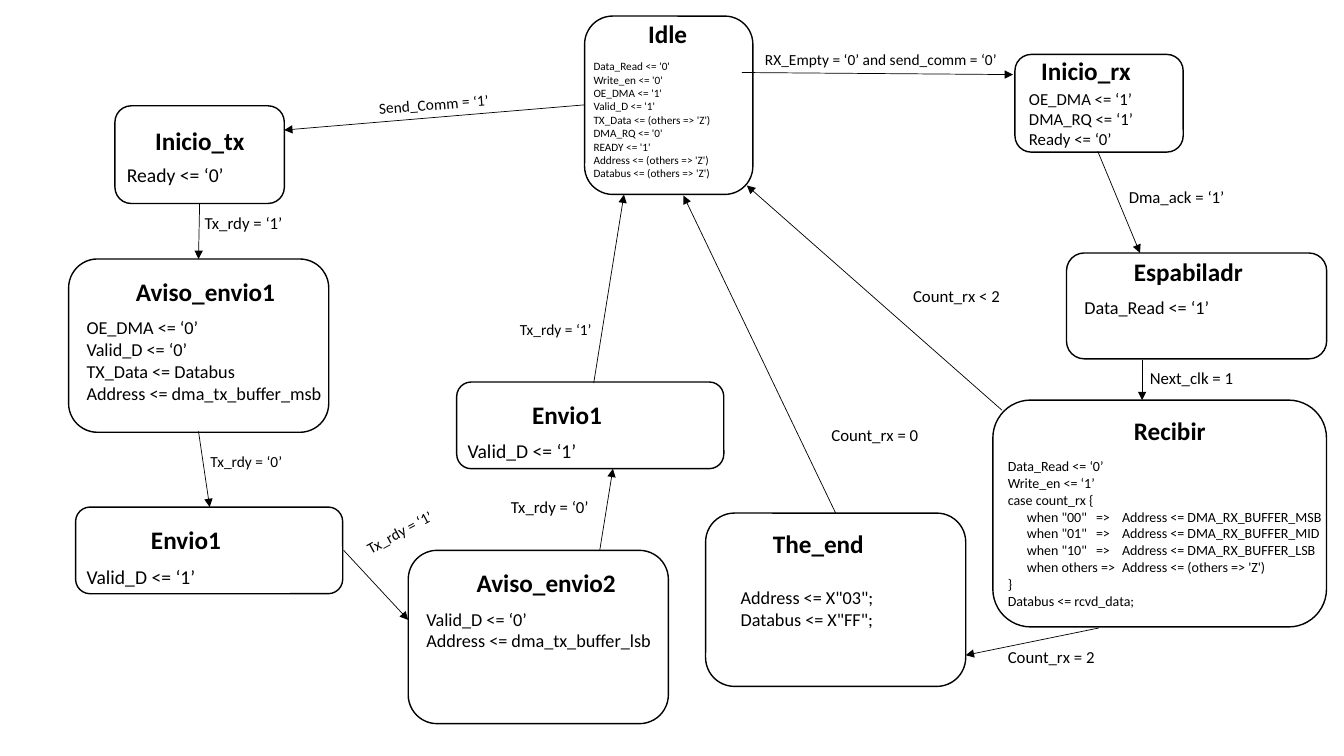
"""Build the state diagram of a serial controller with its DMA signals."""
from lxml import etree
from pptx import Presentation
from pptx.dml.color import RGBColor
from pptx.enum import shapes as kinds, text as modes
from pptx.oxml import ns
from pptx.util import Pt

THEME = {
    "font": "Calibri", "ink": RGBColor(0, 0, 0), "title": 18,
    "edge": 1, "wire": 0.5, "lead": 1.22, "pad": 7.2,
}
TABS = (13.6, 63, 81.6)

# name, box (left, top, width, height), title (left, top, width),
# body (left, top, width), body size, body lines
STATES = [
    ("Idle", (417.6, 11.5, 120.2, 127.4), (455.8, 9.4, 42.5),
     (416.9, 38.9, 120.2), 8,
     ["Data_Read <= '0'", "Write_en <= '0'", "OE_DMA <= '1'",
      "Valid_D <= '1'", "TX_Data <= (others => 'Z')", "DMA_RQ <= '0'",
      "READY <= '1'", "Address <= (others => 'Z')",
      "Databus <= (others => 'Z')"]),
    ("Inicio_tx", (82.1, 75.6, 121, 69.8), (103.7, 85.7, 79.2),
     (83.5, 113, 193), 14, ["Ready <= ‘0’"]),
    ("Aviso_envio1", (49, 185, 185.8, 123.8), (90, 193.7, 114.5),
     (54.7, 222.5, 185.8), 13,
     ["OE_DMA <= ‘0’", "Valid_D <= ‘0’", "TX_Data <= Databus",
      "Address <= dma_tx_buffer_msb"]),
    ("Envio1", (54, 362.2, 190.8, 61.9), (100.8, 370.8, 64.8),
     (54.7, 399.6, 200.2), 14, ["Valid_D <= ‘1’"]),
    ("Inicio_rx", (725, 38.9, 120.2, 69.8), (736.6, 36, 79.2),
     (727.9, 59.8, 110.9), 12,
     ["OE_DMA <= ‘1’", "DMA_RQ <= ‘1’", "Ready <= ‘0’"]),
    ("Aviso_envio2", (291.6, 393.1, 185.8, 123.8), (333.4, 401.8, 114.5),
     (297.4, 430.6, 185.8), 13,
     ["Valid_D <= ‘0’", "Address <= dma_tx_buffer_lsb"]),
    ("Envio1", (326.2, 272.9, 190.8, 61.9), (373, 281.5, 64.8),
     (326.9, 310.3, 200.2), 14, ["Valid_D <= ‘1’"]),
    ("Espabiladr", (761.8, 180.7, 185.8, 75.6), (802.8, 179.3, 92.9),
     (767.5, 208.1, 185.8), 13, ["Data_Read <= ‘1’"]),
    ("Recibir", (709.2, 285.8, 238.3, 162), (802.8, 293, 66.2),
     (712.8, 323.3, 254.2), 10,
     ["Data_Read <= ‘0’", "Write_en <= ‘1’", "case count_rx {",
      "\twhen \"00\"\t=>\tAddress <= DMA_RX_BUFFER_MSB",
      "\twhen \"01\"\t=>\tAddress <= DMA_RX_BUFFER_MID",
      "\twhen \"10\"\t=>\tAddress <= DMA_RX_BUFFER_LSB",
      "\twhen others =>\tAddress <= (others => 'Z')",
      "}", "Databus <= rcvd_data;"]),
    ("The_end", (504, 366.5, 185.8, 123.8), (545, 373.7, 79.9),
     (522, 415.4, 185.8), 13, ["Address <= X\"03\";", "Databus <= X\"FF\";"]),
]

# start, end, label, label (left, top, width), size, turn
MOVES = [
    ((529.9, 51.8), (723.6, 53.3), "RX_Empty = ‘0’ and send_comm = ‘0’",
     (539.3, 32.4, 183.6), 11, 0),
    ((417.6, 74.9), (203, 92.9), "Send_Comm = ‘1’", (263.5, 64.1, 92.9), 11, -4.3),
    ((142.6, 145.4), (141.8, 185), "Tx_rdy = ‘1’", (139, 148.3, 70.6), 12, 0),
    ((141.8, 308.2), (149.8, 362.2), "Tx_rdy = ‘0’", (143.3, 319.7, 67), 11, 0),
    ((245.5, 393.1), (291.6, 442.8), "Tx_rdy = ‘1’", (252.7, 369.4, 67), 11, -28.4),
    ((428.4, 393.1), (437.8, 334.8), "Tx_rdy = ‘0’", (357.8, 351.4, 70.6), 12, 0),
    ((424.1, 273.6), (445.7, 139), "Tx_rdy = ‘1’", (364.3, 225.4, 67), 11, 0),
    ((784.1, 108), (814.3, 180.7), "Dma_ack = ‘1’", (799.2, 129.6, 83.5), 12, 0),
    ((815.8, 257), (815.8, 285.8), "Next_clk = 1", (814.3, 259.2, 74.9), 12, 0),
    ((784.8, 448.6), (689.8, 468), "Count_rx = 2", (712.8, 458.6, 77), 12, 0),
    ((715.7, 293), (533.5, 132.5), "Count_rx < 2", (645.1, 200.2, 77), 12, 0),
    ((596.9, 366.5), (488.2, 139.7), "Count_rx = 0", (586.8, 300.2, 77), 12, 0),
]


def write(page, spot, lines, size, bold=False, wrap=False, turn=0):
    left, top, width = spot
    high = len(lines) * size * THEME["lead"] + THEME["pad"]
    box = page.shapes.add_textbox(Pt(left), Pt(top), Pt(width), Pt(high))
    box.rotation = turn
    frame = box.text_frame
    frame.word_wrap = wrap
    frame.auto_size = modes.MSO_AUTO_SIZE.SHAPE_TO_FIT_TEXT
    for rank, line in enumerate(lines):
        para = frame.add_paragraph() if rank else frame.paragraphs[0]
        if "\t" in line:
            stops = etree.SubElement(para._p.get_or_add_pPr(), ns.qn("a:tabLst"))
            for stop in TABS:
                etree.SubElement(stops, ns.qn("a:tab"), pos=str(int(Pt(stop))), algn="l")
        run = para.add_run()
        run.text = line
        font = run.font
        font.name, font.size, font.bold = THEME["font"], Pt(size), bold
        font.color.rgb = THEME["ink"]


def frame_state(page, spot):
    box = page.shapes.add_shape(
        kinds.MSO_SHAPE.ROUNDED_RECTANGLE, *(Pt(n) for n in spot))
    box.shadow.inherit = False
    box.fill.background()
    box.line.color.rgb = THEME["ink"]
    box.line.width = Pt(THEME["edge"])


def arrow(page, start, end):
    wire = page.shapes.add_connector(
        kinds.MSO_CONNECTOR.STRAIGHT, *(Pt(n) for n in start + end))
    wire.line.color.rgb = THEME["ink"]
    wire.line.width = Pt(THEME["wire"])
    etree.SubElement(wire.line._get_or_add_ln(), ns.qn("a:tailEnd"), type="triangle")
    etree.SubElement(wire._element.spPr, ns.qn("a:effectLst"))


deck = Presentation()
deck.slide_width, deck.slide_height = Pt(960), Pt(540)
page = deck.slides.add_slide(deck.slide_layouts[6])
for name, box, head, body, size, lines in STATES:
    frame_state(page, box)
    write(page, head, [name], THEME["title"], bold=True)
    write(page, body, lines, size, wrap=True)
for start, end, label, spot, size, turn in MOVES:
    arrow(page, start, end)
    write(page, spot, [label], size, turn=turn)
deck.save("out.pptx")
